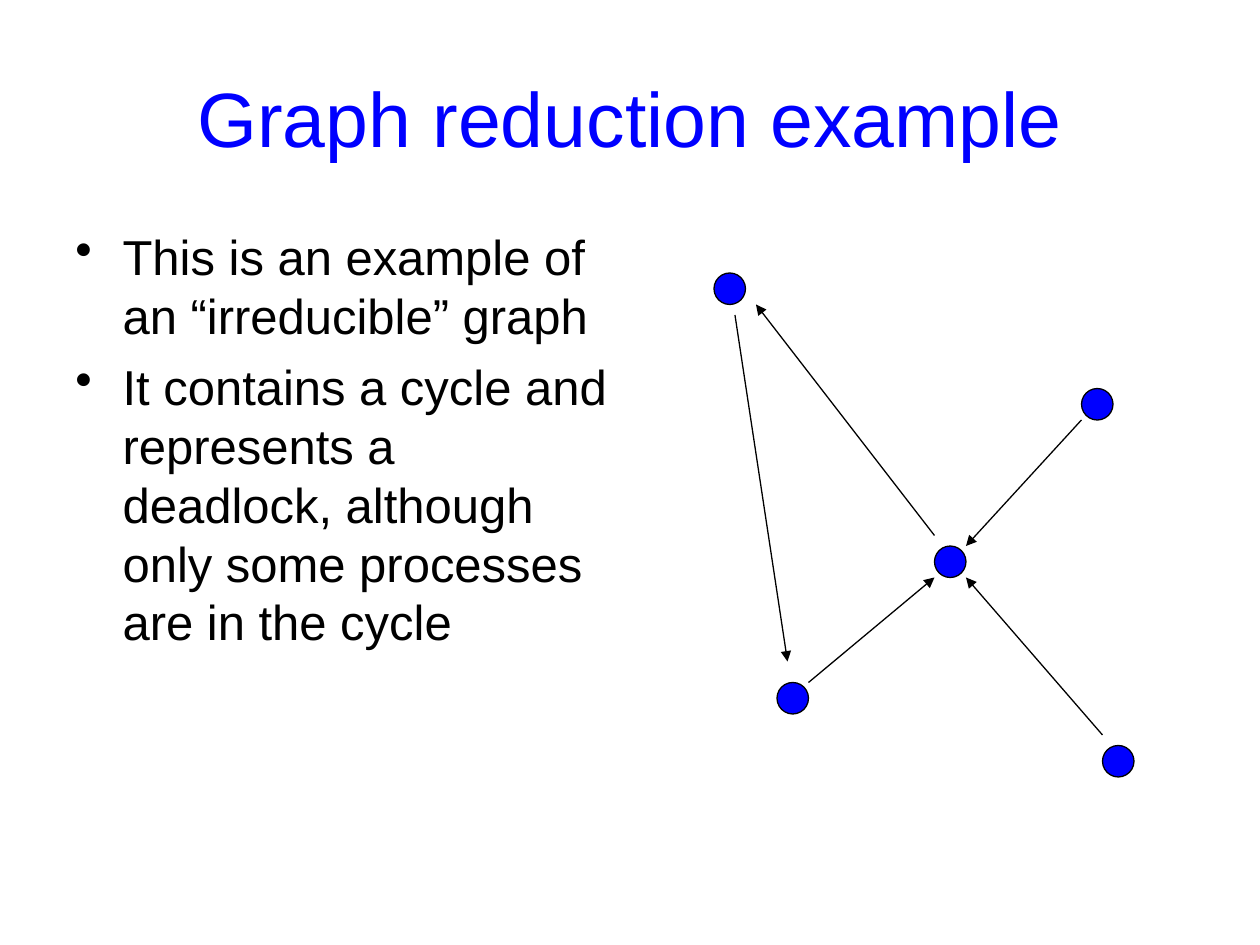
"""Build a slide that shows an irreducible resource graph."""
from lxml import etree
from pptx import Presentation
from pptx.dml.color import RGBColor
from pptx.enum.shapes import MSO_CONNECTOR, MSO_SHAPE
from pptx.enum.text import MSO_ANCHOR, PP_ALIGN
from pptx.oxml.ns import qn
from pptx.util import Pt

OVAL = MSO_SHAPE.OVAL
STRAIGHT = MSO_CONNECTOR.STRAIGHT
MIDDLE = MSO_ANCHOR.MIDDLE
CENTER = PP_ALIGN.CENTER
BLUE, BLACK = "0000FF", "000000"
NODE = 18


def rgb(value):
    return RGBColor.from_string(value)


prs = Presentation()
prs.slide_width, prs.slide_height = Pt(720), Pt(540)
s = prs.slides.add_slide(prs.slide_layouts[5])

title = s.shapes.title
title.left, title.top, title.width, title.height = Pt(36), Pt(21.6), Pt(648), Pt(90)
tf = title.text_frame
tf.text = "Graph reduction example"
tf.vertical_anchor = MIDDLE
p = tf.paragraphs[0]
p.alignment = CENTER
p.font.name, p.font.size = "Arial", Pt(44)
p.font.color.rgb = rgb(BLUE)

bullets = [
    "This is an example of an “irreducible” graph",
    "It contains a cycle and represents a deadlock, although only some processes are in the cycle",
]
tf = s.shapes.add_textbox(Pt(36), Pt(126), Pt(318), Pt(356.4)).text_frame
tf.word_wrap = True
for i, text in enumerate(bullets):
    p = tf.paragraphs[0] if i == 0 else tf.add_paragraph()
    p.text = text
    p.space_before = Pt(7)
    p.font.name, p.font.size = "Arial", Pt(28)
    p.font.color.rgb = rgb(BLACK)
    pPr = p._p.get_or_add_pPr()
    pPr.set("marL", str(Pt(27)))
    pPr.set("indent", str(Pt(-27)))
    bullet = etree.Element(qn("a:buChar"), char="•")
    pPr.find(qn("a:spcBef")).addnext(bullet)

nodes = [(444, 390), (534, 312), (618, 222), (630, 426), (408, 156)]
for x, y in nodes:
    sp = s.shapes.add_shape(OVAL, Pt(x), Pt(y), Pt(NODE), Pt(NODE))
    sp.shadow.inherit = False
    sp.fill.solid()
    sp.fill.fore_color.rgb = rgb(BLUE)
    sp.line.color.rgb = rgb(BLACK)
    sp.line.width = Pt(0.75)

arrows = [
    (462, 390, 534, 330),
    (618, 240, 552, 312),
    (630, 420, 552, 330),
    (420, 180, 450, 378),
    (534, 306, 432, 174),
]
for ends in arrows:
    line = s.shapes.add_connector(STRAIGHT, *map(Pt, ends))
    line.line.color.rgb = rgb(BLACK)
    line.line.width = Pt(0.75)
    etree.SubElement(line.line._get_or_add_ln(), qn("a:tailEnd"), type="triangle")
    etree.SubElement(line._element.spPr, qn("a:effectLst"))

prs.save("out.pptx")
